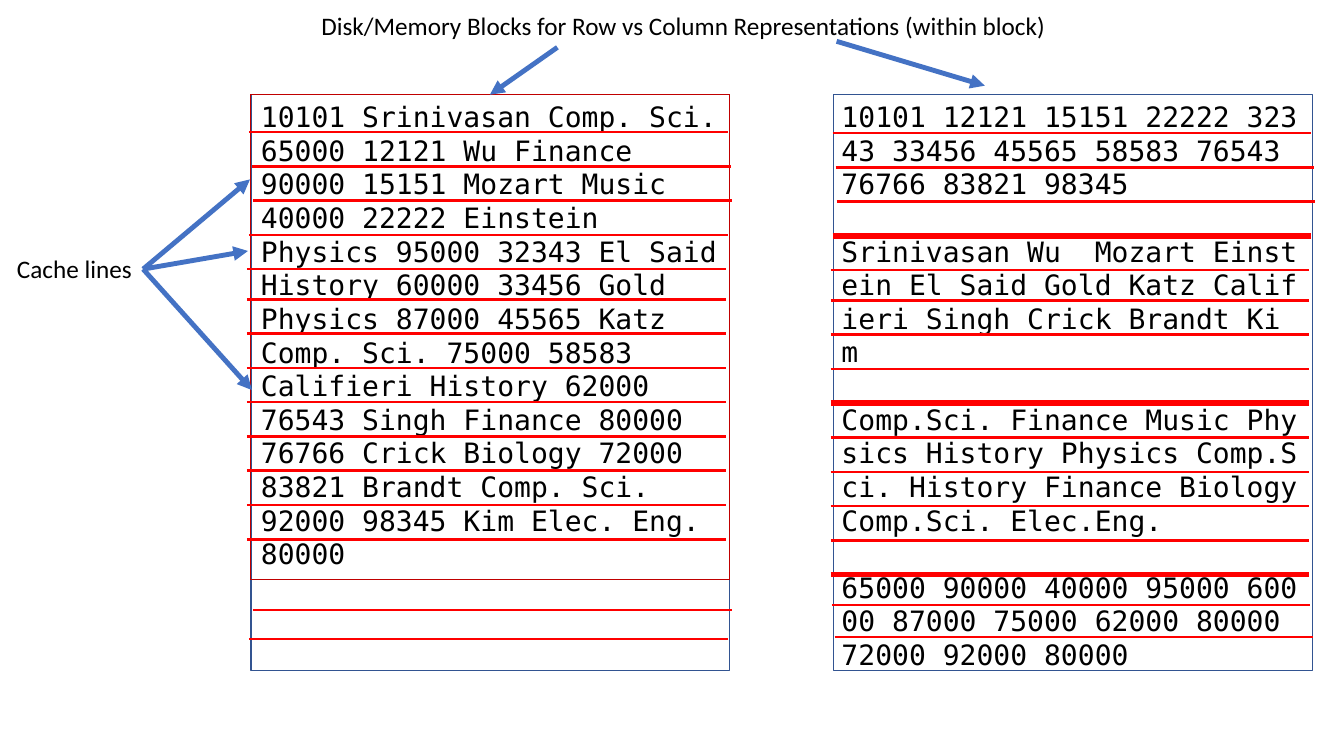
"""Build a slide comparing row and column storage of a table within a block."""
from lxml import etree
from pptx import Presentation
from pptx.dml.color import RGBColor
from pptx.enum.shapes import MSO_CONNECTOR, MSO_SHAPE
from pptx.enum.text import MSO_ANCHOR, PP_ALIGN
from pptx.oxml.ns import qn
from pptx.util import Inches, Pt

RECT, STRAIGHT = MSO_SHAPE.RECTANGLE, MSO_CONNECTOR.STRAIGHT
TOP, LEFT = MSO_ANCHOR.TOP, PP_ALIGN.LEFT
COLUMNS, ROWS = 40, 22.5
MONO = {"name": "DejaVu Sans Mono", "size": Pt(20)}
SANS = {"name": "Calibri", "size": Pt(18)}

prs = Presentation()
prs.slide_width, prs.slide_height = Inches(13.333), Inches(7.5)
CELL_W, CELL_H = prs.slide_width / COLUMNS, prs.slide_height / ROWS
slide = prs.slides.add_slide(prs.slide_layouts[6])


def cells(*values):
    """Turn alternating column and row counts into lengths."""
    return [int(v * size) for v, size in zip(values, (CELL_W, CELL_H) * 2)]


def stroke(line, color, width):
    """Set the colour and width of a line."""
    line.color.rgb = RGBColor.from_string(color)
    line.width = Pt(width)


block_top, block_w, block_h = 2.82, 14.25, 17.13
row_left, column_left = 7.47, 24.81
for left in (row_left, column_left):
    s = slide.shapes.add_shape(RECT, *cells(left, block_top, block_w, block_h))
    s.shadow.inherit = False
    s.fill.background()
    stroke(s.line, "325491", 1)

row_data = [
    "10101 Srinivasan Comp. Sci. 65000 12121 Wu Finance 90000 15151 Mozart Music "
    "40000 22222 Einstein Physics 95000 32343 El Said History 60000 33456 Gold "
    "Physics 87000 45565 Katz Comp. Sci. 75000 58583 Califieri History 62000 "
    "76543 Singh Finance 80000 76766 Crick Biology 72000 83821 Brandt Comp. Sci. "
    "92000 98345 Kim Elec. Eng. 80000",
]
column_data = [
    "10101 12121 15151 22222 323 43 33456 45565 58583 76543 76766 83821 98345",
    "Srinivasan Wu\u00a0 Mozart Einst ein El Said Gold Katz Calif ieri Singh Crick "
    "Brandt Ki m",
    "Comp.Sci. Finance Music Phy sics History Physics Comp.S ci. History Finance "
    "Biology Comp.Sci. Elec.Eng.",
    "65000 90000 40000 95000 600 00 87000 75000 62000 80000 72000 92000 80000",
]
title = ["Disk/Memory Blocks for Row vs Column Representations (within block)"]
texts = [
    ((24.75, block_top, block_w, 18.48), column_data, MONO, True, None),
    ((row_left, block_top, block_w, 14.43), row_data, MONO, True, "C00000"),
    ((9.27, 0.15, 22.41, 1.2), title, SANS, False, None),
    ((0.21, 7.38, 4.08, 1.2), ["Cache lines"], SANS, False, None),
]
for box, paragraphs, font, wrap, border in texts:
    s = slide.shapes.add_textbox(*cells(*box))
    if border:
        stroke(s.line, border, 0.75)
    tf = s.text_frame
    tf.word_wrap, tf.vertical_anchor = wrap, TOP
    for i, text in enumerate(paragraphs):
        p = tf.add_paragraph() if i else tf.paragraphs[0]
        p.alignment = LEFT
        p.space_before = Pt(24 if i else 0)
        r = p.add_run()
        r.text = text
        r.font.color.rgb = RGBColor.from_string("000000")
        for key, value in font.items():
            setattr(r.font, key, value)

first_line, pitch, nudge = 3.93, 1.02, 0.12
starts = [7.41, 7.5, 7.53, 7.41] + [7.35] * 10
cache_lines = [(7.53, 18.15, 1.75), (7.41, 19.02, 1.75),
               (24.75, 18, 1.75), (24.84, 18.96, 1.75)]
for dx, dy, count, thick in ((0, 0, 13, ()), (17.37, 0.03, 14, (3, 8, 13))):
    for i, x in enumerate(starts[:count]):
        y = first_line + dy + i * pitch - (nudge if i > 4 else 0)
        cache_lines.append((x + dx, y, 4 if i in thick else 1.75))

hub = (4.26, 8.01)
arrows = [
    ((16.59, 1.41), (14.58, block_top)),
    ((24.9, 1.23), (29.31, 2.55)),
    (hub, (7.44, 5.34)),
    (hub, (7.38, 7.47)),
    (hub, (7.5, 11.61)),
]
lines = [((x, y), (x + block_w, y), "FF0000", w, False) for x, y, w in cache_lines]
lines += [(start, end, "4472C4", 3.5, True) for start, end in arrows]
for start, end, color, width, head in lines:
    s = slide.shapes.add_connector(STRAIGHT, *cells(*start, *end))
    stroke(s.line, color, width)
    spPr = s._element.spPr
    if head:
        etree.SubElement(spPr.find(qn("a:ln")), qn("a:tailEnd"), type="triangle")
    etree.SubElement(spPr, qn("a:effectLst"))

prs.save("out.pptx")
